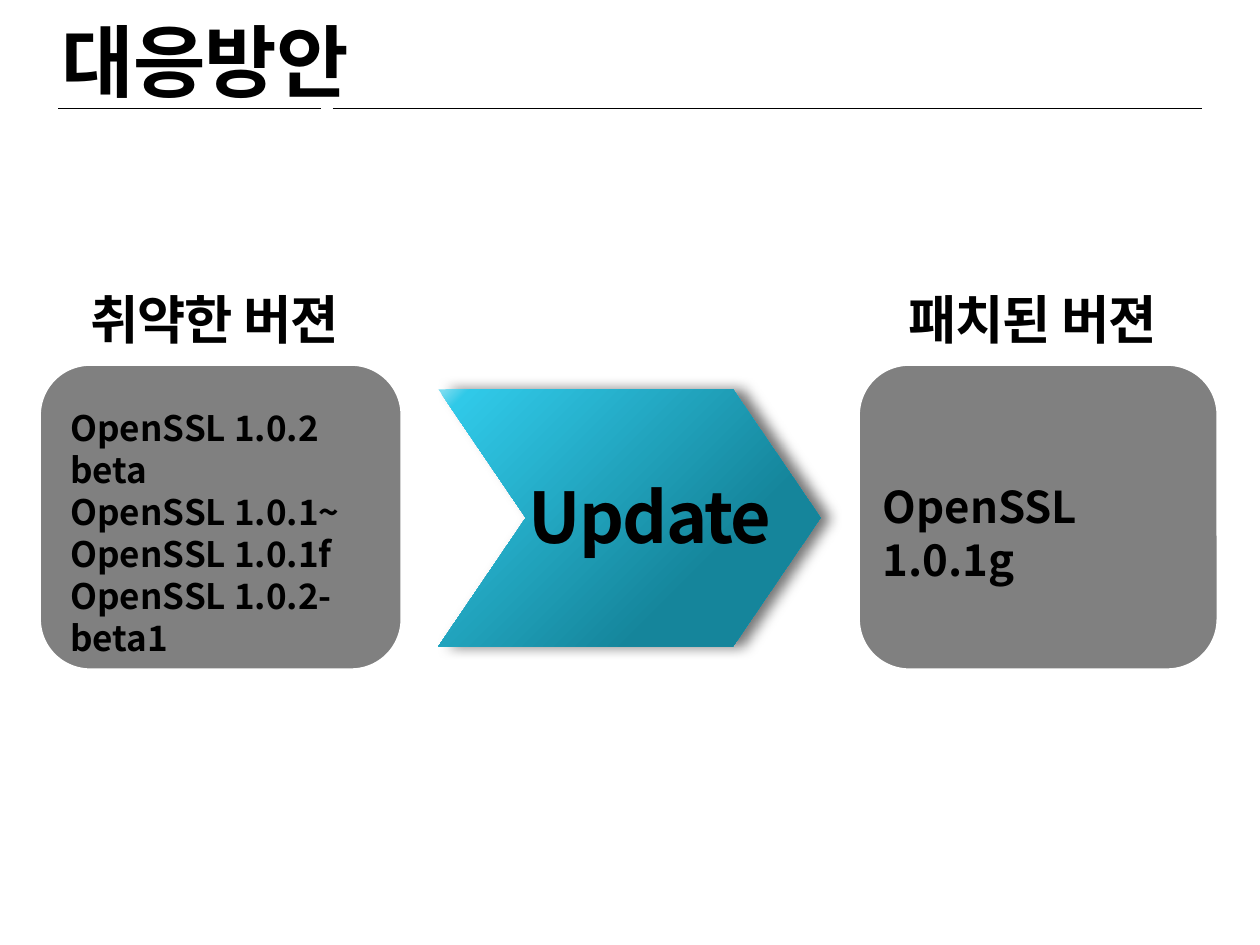
"""Build a slide on the response to vulnerable OpenSSL versions."""
from lxml import etree
from pptx import Presentation
from pptx.dml.color import RGBColor
from pptx.enum.shapes import MSO_CONNECTOR, MSO_SHAPE
from pptx.enum.text import MSO_ANCHOR, MSO_AUTO_SIZE, PP_ALIGN
from pptx.oxml.ns import qn
from pptx.util import Cm, Pt

LEFT, CENTER = PP_ALIGN.LEFT, PP_ALIGN.CENTER
TOP = MSO_ANCHOR.TOP
NO_AUTOFIT = MSO_AUTO_SIZE.NONE
STRAIGHT = MSO_CONNECTOR.STRAIGHT
ROUNDED, CHEVRON = MSO_SHAPE.ROUNDED_RECTANGLE, MSO_SHAPE.CHEVRON

BLACK = RGBColor(0x00, 0x00, 0x00)
WHITE = RGBColor(0xFF, 0xFF, 0xFF)
GRAY = RGBColor(0x80, 0x80, 0x80)
FONT = "Noto Sans CJK KR"
LINE_FACTOR = 1.2

TITLE = (["대응방안"], (0.99, 0.14, 23.8, 1.78), 45, LEFT, -0.5)
TEXTS = [
    (["취약한 버젼"], (1.57, 5.66, 6.53, 1.78), 30, LEFT, -0.5),
    (["패치된 버젼"], (18.06, 5.66, 6.45, 1.78), 30, LEFT, -0.5),
    (["OpenSSL 1.0.2 beta", "OpenSSL 1.0.1~", "OpenSSL 1.0.1f",
      "OpenSSL 1.0.2-beta1"], (1.17, 8.07, 7.16, 4.52), 20, LEFT, 0),
    (["Update"], (10.21, 9.43, 5.79, 1.96), 40, CENTER, -1),
    (["OpenSSL 1.0.1g"], (17.55, 9.55, 7.06, 4.52), 25, LEFT, 0),
]
VERSION_BOXES = [(0.79, 7.34, 7.32, 6.17), (17.3, 7.34, 7.26, 6.17)]
UPDATE_ARROW = (8.84, 7.85, 7.7, 5.18)
ARROW_STOPS = [(1, "78DCF0"), (5, "30C9E8"), (70, "15859B")]
RULE_Y = 2.18
RULES = [(1.17, 6.48), (6.71, 24.23)]


def lengths(values):
    return [Cm(value) for value in values]


def add_element(parent, tag, **attributes):
    element = etree.SubElement(parent, qn(tag))
    for name, value in attributes.items():
        element.set(name, str(value))
    return element


def write_text(shape, lines, size, alignment, spacing):
    frame = shape.text_frame
    frame.text = "\n".join(lines)
    frame.word_wrap = True
    frame.auto_size = NO_AUTOFIT
    frame.vertical_anchor = TOP
    for paragraph in frame.paragraphs:
        paragraph.alignment = alignment
        paragraph.line_spacing = Pt(size * LINE_FACTOR)
        font = paragraph.font
        font.name, font.size, font.bold = FONT, Pt(size), True
        font.color.rgb = BLACK
        properties = paragraph._p.pPr.find(qn("a:defRPr"))
        properties.set("spc", str(round(spacing * 100)))
        add_element(properties, "a:ea", typeface=FONT)


def add_version_box(slide, box):
    shape = slide.shapes.add_shape(ROUNDED, *lengths(box))
    shape.shadow.inherit = False
    shape.fill.solid()
    shape.fill.fore_color.rgb = GRAY
    shape.line.color.rgb = WHITE
    shape.line.width = Pt(2)


def add_update_arrow(slide):
    shape = slide.shapes.add_shape(CHEVRON, *lengths(UPDATE_ARROW))
    shape.adjustments[0] = 0.34
    shape.line.fill.background()
    shape.fill.gradient()
    shape.fill.gradient_angle = 315
    properties = shape._element.spPr
    stops = properties.find(".//" + qn("a:gsLst"))
    for stop in list(stops):
        stops.remove(stop)
    for position, color in ARROW_STOPS:
        stop = add_element(stops, "a:gs", pos=position * 1000)
        add_element(stop, "a:srgbClr", val=color)
    shape.shadow.inherit = False
    shadow = add_element(properties.find(qn("a:effectLst")), "a:outerShdw",
                         blurRad=Pt(8), dist=Pt(6), dir=0, rotWithShape=0)
    shadow_color = add_element(shadow, "a:srgbClr", val=BLACK)
    add_element(shadow_color, "a:alpha", val=55000)


def add_rule(slide, start, end):
    rule = slide.shapes.add_connector(
        STRAIGHT, *lengths((start, RULE_Y, end, RULE_Y)))
    rule.line.color.rgb = BLACK
    rule.line.width = Pt(0.25)
    add_element(rule._element.spPr, "a:effectLst")


def main():
    presentation = Presentation()
    presentation.slide_width, presentation.slide_height = Cm(25.4), Cm(19.05)
    slide = presentation.slides.add_slide(presentation.slide_layouts[5])
    for box in VERSION_BOXES:
        add_version_box(slide, box)
    add_update_arrow(slide)
    for start, end in RULES:
        add_rule(slide, start, end)

    lines, box, *style = TITLE
    title = slide.shapes.title
    title.left, title.top, title.width, title.height = lengths(box)
    write_text(title, lines, *style)
    for lines, box, *style in TEXTS:
        write_text(slide.shapes.add_textbox(*lengths(box)), lines, *style)
    presentation.save("out.pptx")


if __name__ == "__main__":
    main()
